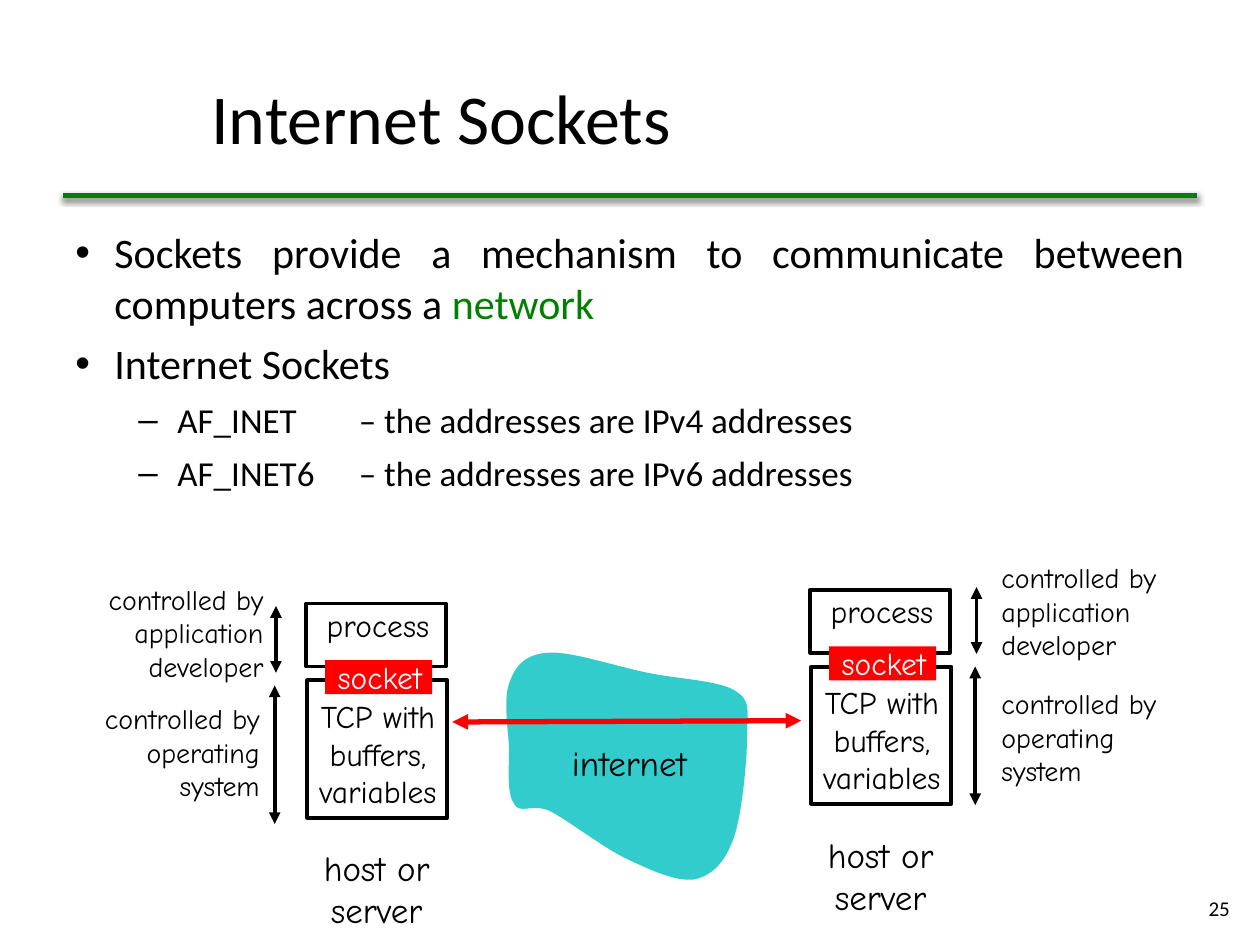
import pptx
import pptx.util
import pptx.dml.color
import pptx.enum.shapes
import pptx.enum.text
import pptx.oxml
import pptx.oxml.ns
from lxml import etree

Inches, Pt = pptx.util.Inches, pptx.util.Pt
ALIGN = {
    "l": pptx.enum.text.PP_ALIGN.LEFT,
    "c": pptx.enum.text.PP_ALIGN.CENTER,
    "r": pptx.enum.text.PP_ALIGN.RIGHT,
    "j": pptx.enum.text.PP_ALIGN.JUSTIFY,
}

THEME = {
    "body_font": "Calibri", "diagram_font": "Comic Neue",
    "ink": "000000", "paper": "FFFFFF", "green": "008000",
    "red": "FF0000", "cloud": "33CCCC",
    "title": 40, "bullet": 24, "sub": 20, "number": 12,
    "box": 18, "label": 16, "caption": 20,
    "border": 2.25, "rule": 3,
}

TITLE = "Internet Sockets"
BULLETS = [
    (0, [("Sockets provide a mechanism to communicate between computers across a ", "ink"),
         ("network", "green")]),
    (0, [("Internet Sockets", "ink")]),
    (1, [("AF_INET \t– the addresses are IPv4 addresses", "ink")]),
    (1, [("AF_INET6 \t– the addresses are IPv6 addresses", "ink")]),
]
LEVELS = [("•", 0.31, "bullet", []), ("–", 0.81, "sub", [2.25, 2.5])]
HANGING = 0.31

PROCESS = ["process"]
SOCKET = ["socket"]
TCP = ["TCP with", "buffers,", "variables"]
HOST = ["host or", "server"]
APPLICATION = ["controlled by", "application", "developer"]
SYSTEM = ["controlled by", "operating", "system"]

HOSTS = [
    {"at": (2.43, 4.79), "align": "r", "arrows": (2.19, 4.81),
     "labels": [(0.63, 4.57, APPLICATION), (0.6, 5.52, SYSTEM)]},
    {"at": (6.43, 4.68), "align": "l", "arrows": (7.75, 4.66),
     "labels": [(7.85, 4.4, APPLICATION), (7.85, 5.4, SYSTEM)]},
]
SPANS = [(0, 0.53, 0), (-0.01, 1.73, 0.63)]

CLOUD_START = (4.36, 5.18)
CLOUD_CURVES = [
    ((4.18, 5.19), (4.1, 5.27), (4.05, 5.4)),
    ((3.99, 5.53), (4.03, 5.77), (4.04, 5.93)),
    ((4.04, 6.1), (4.02, 6.3), (4.08, 6.38)),
    ((4.13, 6.47), (4.22, 6.37), (4.37, 6.44)),
    ((4.52, 6.52), (4.79, 6.73), (4.98, 6.82)),
    ((5.17, 6.91), (5.37, 7), (5.51, 6.98)),
    ((5.65, 6.95), (5.75, 6.85), (5.82, 6.66)),
    ((5.89, 6.47), (5.93, 6.02), (5.93, 5.82)),
    ((5.93, 5.62), (5.96, 5.56), (5.83, 5.48)),
    ((5.7, 5.4), (5.38, 5.39), (5.14, 5.34)),
    ((4.89, 5.29), (4.54, 5.17), (4.36, 5.18)),
]


def color(name):
    return pptx.dml.color.RGBColor.from_string(THEME[name])


def child(parent, tag, **attrs):
    return etree.SubElement(parent, pptx.oxml.ns.qn(tag), {k: str(v) for k, v in attrs.items()})


def add_run(p, text, size, ink="ink", font="diagram_font"):
    r = p.add_run()
    r.text = text
    r.font.name = THEME[font]
    r.font.size = Pt(THEME[size])
    r.font.color.rgb = color(ink)


def add_frame(shapes, box, wrap=False, anchor="MIDDLE"):
    tf = shapes.add_textbox(*map(Inches, box)).text_frame
    tf.word_wrap = wrap
    tf.vertical_anchor = pptx.enum.text.MSO_ANCHOR[anchor]
    return tf


def add_text(shapes, box, lines, size, align="c", ink="ink", font="diagram_font", wrap=False):
    tf = add_frame(shapes, box, wrap)
    for i, line in enumerate(lines):
        p = tf.add_paragraph() if i else tf.paragraphs[0]
        p.alignment = ALIGN[align]
        add_run(p, line, size, ink, font)


def add_bullets(shapes, box):
    tf = add_frame(shapes, box, True, "TOP")
    for i, (level, runs) in enumerate(BULLETS):
        mark, indent, size, tabs = LEVELS[level]
        p = tf.add_paragraph() if i else tf.paragraphs[0]
        p.level = level
        p.alignment = ALIGN["j"]
        p.space_after = Pt(6)
        pPr = p._p.get_or_add_pPr()
        pPr.set("marL", str(Inches(indent)))
        pPr.set("indent", str(-Inches(HANGING)))
        child(pPr, "a:buFont", typeface="Arial")
        child(pPr, "a:buChar", char=mark)
        if tabs:
            stops = child(pPr, "a:tabLst")
            for pos in tabs:
                child(stops, "a:tab", pos=Inches(pos), algn="l")
        for text, ink in runs:
            add_run(p, text, size, ink, "body_font")


def add_line(shapes, start, end, ink, width, arrows=True):
    line = shapes.add_connector(
        pptx.enum.shapes.MSO_CONNECTOR.STRAIGHT, *map(Inches, start + end))
    line.line.color.rgb = color(ink)
    line.line.width = Pt(THEME[width])
    if arrows:
        ln = line.line._get_or_add_ln()
        child(ln, "a:headEnd", type="triangle")
        child(ln, "a:tailEnd", type="triangle")
    return child(line._element.spPr, "a:effectLst")


def add_rect(shapes, box, fill=None, border=True):
    sp = shapes.add_shape(pptx.enum.shapes.MSO_SHAPE.RECTANGLE, *map(Inches, box))
    sp.shadow.inherit = False
    if fill:
        sp.fill.solid()
        sp.fill.fore_color.rgb = color(fill)
    else:
        sp.fill.background()
    if border:
        sp.line.color.rgb = color("ink")
        sp.line.width = Pt(THEME["border"])
    else:
        sp.line.fill.background()


def add_host(s, host):
    x, y = host["at"]
    shapes = s.shapes.add_group_shape().shapes
    add_rect(shapes, (x, y, 1.11, 0.5), "paper")
    add_text(shapes, (x + 0.02, y - 0.03, 1.1, 0.4), PROCESS, "box")
    add_text(shapes, (x - 0.05, y + 0.69, 1.24, 1), TCP, "box")
    add_rect(shapes, (x + 0.01, y + 0.61, 1.11, 1.09))
    add_rect(shapes, (x + 0.15, y + 0.45, 0.85, 0.27), "red", False)
    add_text(shapes, (x + 0.1, y + 0.38, 0.97, 0.4), SOCKET, "box", ink="paper")
    for left, top, lines in host["labels"]:
        add_text(s.shapes, (left, top, 1.56, 0.9), lines, "label", host["align"])
    ax, ay = host["arrows"]
    for dx, bottom, top in SPANS:
        add_line(s.shapes, (ax + dx, ay + bottom), (ax + dx, ay + top), "ink", "border")
    add_text(s.shapes, (x - 0.01, y + 1.88, 1.14, 0.77), HOST, "caption")


def add_cloud(shapes):
    fb = shapes.build_freeform(*map(Inches, CLOUD_START))
    ends = [tuple(map(Inches, curve[-1])) for curve in CLOUD_CURVES]
    fb.add_line_segments(ends, close=True)
    sp = fb.convert_to_shape()
    segments = list(sp._element.iter(pptx.oxml.ns.qn("a:lnTo")))
    for segment, curve in zip(segments, CLOUD_CURVES):
        bezier = etree.Element(pptx.oxml.ns.qn("a:cubicBezTo"))
        for x, y in curve:
            child(bezier, "a:pt", x=Inches(x) - sp.left, y=Inches(y) - sp.top)
        segment.getparent().replace(segment, bezier)
    sp.shadow.inherit = False
    sp.fill.solid()
    sp.fill.fore_color.rgb = color("cloud")
    sp.line.fill.background()


def main():
    prs = pptx.Presentation()
    prs.slide_width, prs.slide_height = Inches(10), Inches(7.5)
    s = prs.slides.add_slide(prs.slide_layouts[6])
    add_text(s.shapes, (9.46, 7.01, 0.4, 0.4), ["25"], "number", "r", font="body_font")
    add_text(s.shapes, (1.58, 0.3, 8.27, 1.25), [TITLE], "title", "l",
             font="body_font", wrap=True)
    effects = add_line(s.shapes, (0.5, 1.55), (9.5, 1.55), "green", "rule", False)
    shadow = child(effects, "a:outerShdw", blurRad=Pt(3.1), dist=Pt(1.6),
                   dir=90 * 60000, rotWithShape=0)
    child(child(shadow, "a:srgbClr", val=THEME["ink"]), "a:alpha", val=62000)
    add_bullets(s.shapes, (0.5, 1.75, 9, 5.26))
    for host in HOSTS:
        add_host(s, host)
    add_cloud(s.shapes)
    add_text(s.shapes, (4.36, 5.84, 1.27, 0.43), ["internet"], "caption")
    add_line(s.shapes, (6.36, 5.72), (3.59, 5.73), "red", "rule")
    prs.save("out.pptx")


if __name__ == "__main__":
    main()
